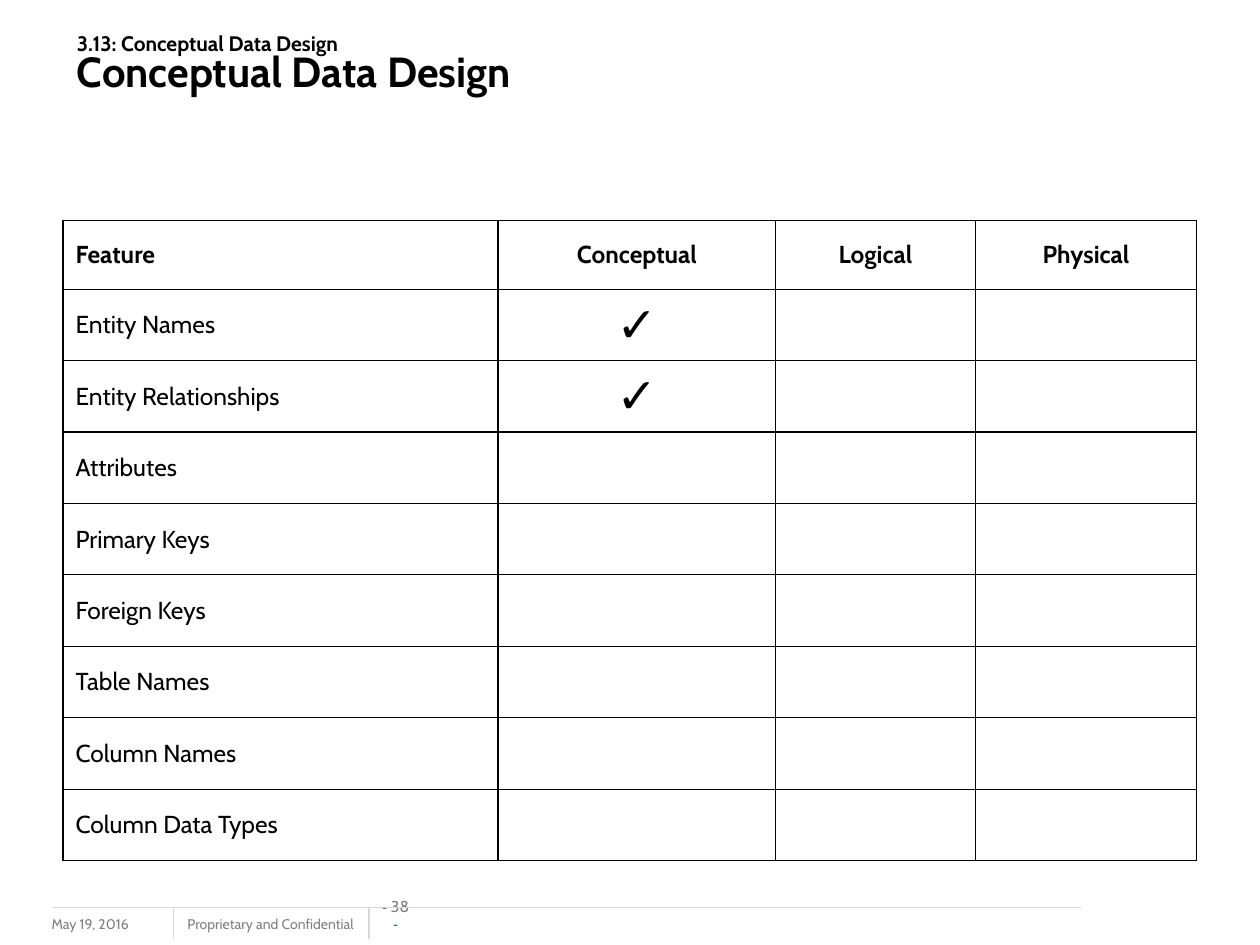
from lxml import etree
from pptx import Presentation
from pptx.dml.color import RGBColor
from pptx.enum.shapes import MSO_CONNECTOR as Connector
from pptx.enum.text import MSO_ANCHOR as Anchor, PP_ALIGN as Align
from pptx.oxml.ns import qn
from pptx.util import Cm, Pt

BLACK = RGBColor(0x00, 0x00, 0x00)
GREY = RGBColor(0x80, 0x80, 0x80)
LIGHT_GREY = RGBColor(0xD9, 0xD9, 0xD9)
NAVY = RGBColor(0x1F, 0x49, 0x7D)

HEADERS = ["Feature", "Conceptual", "Logical", "Physical"]
FEATURES = ["Entity Names", "Entity Relationships", "Attributes", "Primary Keys",
            "Foreign Keys", "Table Names", "Column Names", "Column Data Types"]
CONCEPTUAL_FEATURES = {"Entity Names", "Entity Relationships"}
COLUMN_WIDTHS = [8.77, 5.6, 4.02, 4.47]
HEADER_HEIGHT, ROW_HEIGHT = 1.39, 1.44


def add_run(paragraph, text, size=14, color=BLACK, bold=False, font="Cabin"):
    run = paragraph.add_run()
    run.text = text
    run.font.name = font
    run.font.size = Pt(size)
    run.font.bold = bold
    run.font.color.rgb = color


def add_text_box(slide, left, top, width, height, wrap=True, anchor=Anchor.TOP):
    """Add an empty text box and return its text frame."""
    shape = slide.shapes.add_textbox(Cm(left), Cm(top), Cm(width), Cm(height))
    frame = shape.text_frame
    frame.word_wrap = wrap
    frame.vertical_anchor = anchor
    return frame


def add_rule(slide, x1, y1, x2, y2):
    line = slide.shapes.add_connector(Connector.STRAIGHT, Cm(x1), Cm(y1), Cm(x2), Cm(y2))
    line.line.color.rgb = LIGHT_GREY
    line.line.width = Pt(0.75)
    etree.SubElement(line._element.spPr, qn("a:effectLst"))


def set_borders(cell):
    properties = cell._tc.get_or_add_tcPr()
    for position, side in enumerate(("a:lnL", "a:lnR", "a:lnT", "a:lnB")):
        border = etree.Element(qn(side), w=str(Pt(0.75)))
        fill = etree.SubElement(border, qn("a:solidFill"))
        etree.SubElement(fill, qn("a:srgbClr"), val=str(BLACK))
        properties.insert(position, border)


def format_cell(cell, text, column, **text_format):
    cell.fill.background()
    set_borders(cell)
    cell.vertical_anchor = Anchor.MIDDLE
    cell.margin_top = cell.margin_bottom = Cm(0.05)
    if text:
        paragraph = cell.text_frame.paragraphs[0]
        paragraph.alignment = Align.CENTER if column else Align.LEFT
        add_run(paragraph, text, **text_format)


def add_feature_table(slide):
    rows = [HEADERS]
    for feature in FEATURES:
        rows.append([feature, "✓" if feature in CONCEPTUAL_FEATURES else "", "", ""])
    height = HEADER_HEIGHT + ROW_HEIGHT * len(FEATURES)
    table = slide.shapes.add_table(len(rows), len(HEADERS), Cm(1.27), Cm(4.44),
                                   Cm(sum(COLUMN_WIDTHS)), Cm(height)).table
    for column, width in zip(table.columns, COLUMN_WIDTHS):
        column.width = Cm(width)
    for row_index, values in enumerate(rows):
        table.rows[row_index].height = Cm(ROW_HEIGHT if row_index else HEADER_HEIGHT)
        for column_index, text in enumerate(values):
            format_cell(table.cell(row_index, column_index), text, column_index,
                        size=28 if text == "✓" else 14, bold=row_index == 0)


def add_title(slide):
    frame = add_text_box(slide, 1.3, 0.33, 22.66, 1.98, anchor=Anchor.MIDDLE)
    paragraph = frame.paragraphs[0]
    paragraph.line_spacing = 0.8
    add_run(paragraph, "3.13: Conceptual Data Design ", size=12, bold=True)
    paragraph.add_line_break()
    add_run(paragraph, "Conceptual Data Design", size=24, bold=True)


def add_footer(slide):
    # Date and confidentiality note
    date = add_text_box(slide, 0.79, 18.34, 3.38, 0.64)
    add_run(date.paragraphs[0], "May 19, 2016", size=8, color=GREY)
    note = add_text_box(slide, 3.53, 18.34, 3.99, 0.61, wrap=False)
    add_run(note.paragraphs[0], "Proprietary and Confidential", size=8, color=GREY)

    # Page number, wrapping in its narrow box
    number = add_text_box(slide, 7.65, 18.42, 0.66, 0.38, anchor=Anchor.BOTTOM)
    number.margin_left = number.margin_right = number.margin_top = number.margin_bottom = 0
    paragraph = number.paragraphs[0]
    paragraph.alignment = Align.CENTER
    add_run(paragraph, "- ", size=8, color=NAVY, font="Arial")
    add_run(paragraph, "38 ", size=9, color=GREY)
    add_run(paragraph, "-", size=8, color=NAVY, font="Arial")

    # Rule and dividers
    add_rule(slide, 21.79, 18.29, 1.07, 18.29)
    for x in (3.5, 7.44):
        add_rule(slide, x, 18.29, x, 18.92)


def main():
    presentation = Presentation()
    presentation.slide_width, presentation.slide_height = Cm(25.4), Cm(19.05)
    slide = presentation.slides.add_slide(presentation.slide_layouts[6])
    add_footer(slide)
    add_feature_table(slide)
    add_title(slide)
    presentation.save("out.pptx")


if __name__ == "__main__":
    main()
